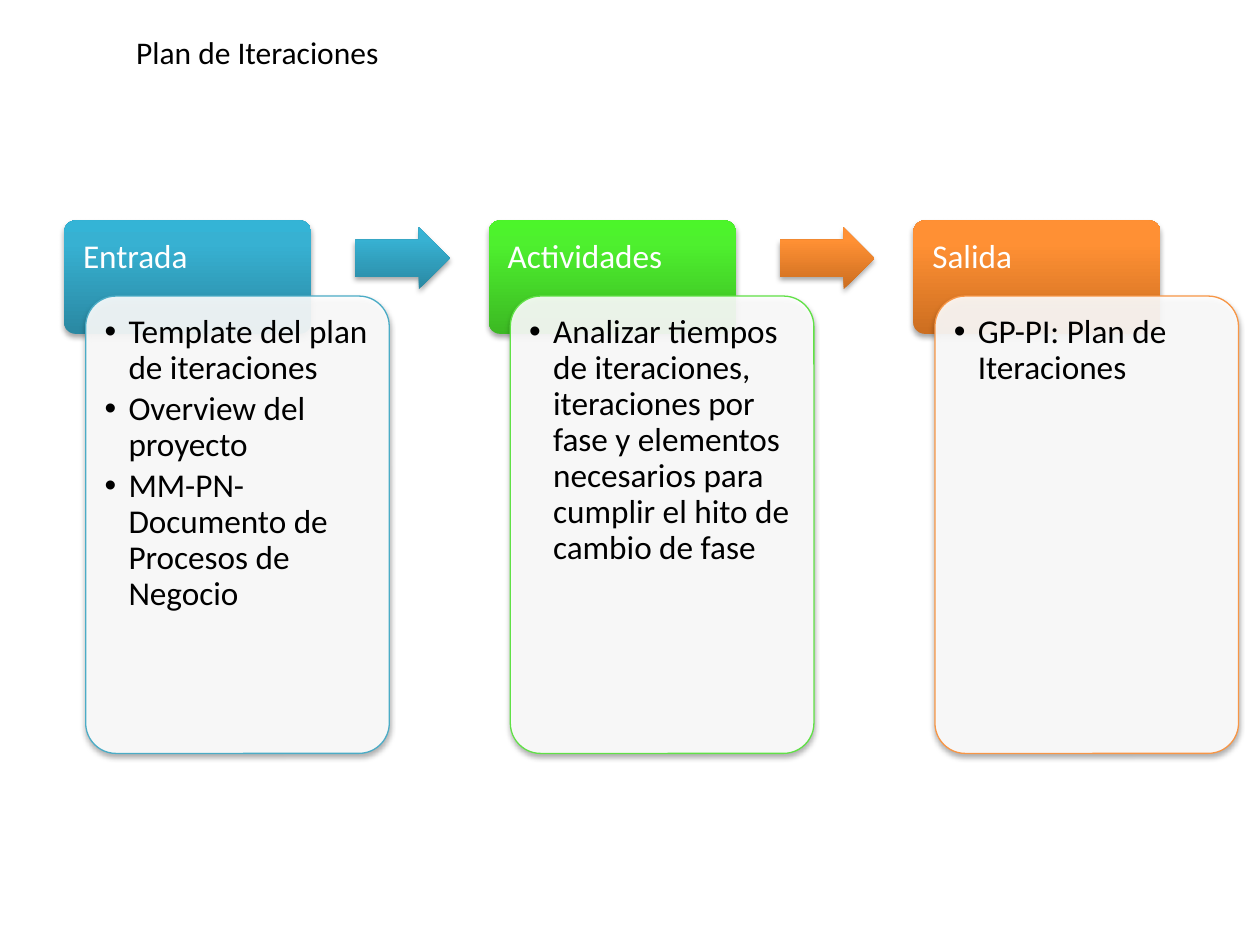
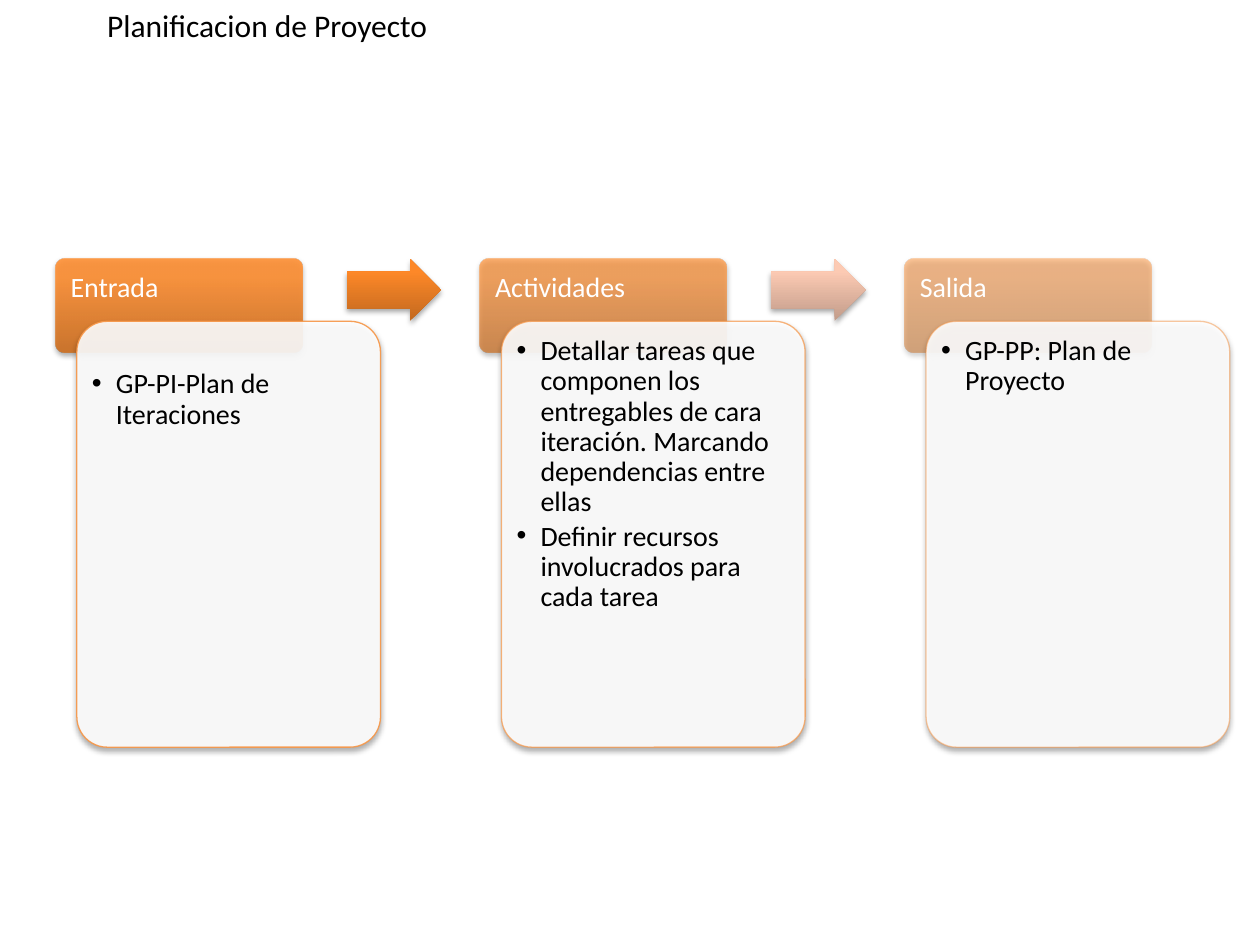
"""Build two process slides, each with three steps joined by arrows."""
from collections import namedtuple
from lxml.etree import SubElement as Sub
from pptx import Presentation
from pptx.dml.color import RGBColor as RGB
from pptx.enum.shapes import MSO_SHAPE as Kind
from pptx.enum.text import MSO_ANCHOR as Anchor, PP_ALIGN as Align
from pptx.oxml.ns import qn
from pptx.util import Inches, Pt

Theme = namedtuple("Theme", "font title ink white blue green orange deep pale rim")
theme = Theme(
    font="Calibri", title=18, ink="000000", white="FFFFFF",
    blue=("2A88A2", "37B1D2", "34B4D6"),
    green=("3CB923", "4EF02E", "4CF52A"),
    orange=("CC6E20", "FF9034", "FF9136"),
    deep=("C3691F", "FD8828", "FF8928"),
    pale=("C29C8A", "FCCAB3", "FECAB2"),
    rim=("4BACC6", "60E146", "F79646"),
)
Step = namedtuple("Step", "name items tones rim fade drop", defaults=(100, 0))
Page = namedtuple("Page", "title spot left top band tall pad size steps links")

STEP, HEAD, BODY, SHIFT = 3.37, 1.96, 2.41, 0.17
ARROW_X, ARROW_W, ARROW_H = 2.31, 0.75, 0.49
INDENT = 0.19

pages = [
    Page("Plan de Iteraciones", (0.98, 0.21, 5.2, 0.4),
         0.51, 1.75, 0.6, 3.63, 0.15, 19,
         [Step("Entrada", ["Template del plan de iteraciones", "Overview del proyecto",
                           "MM-PN-Documento de Procesos de Negocio"],
               theme.blue, theme.rim[0]),
          Step("Actividades", ["Analizar tiempos de iteraciones, iteraciones por fase y "
                               "elementos necesarios para cumplir el hito de cambio de fase"],
               theme.green, theme.rim[1]),
          Step("Salida", ["GP-PI: Plan de Iteraciones"], theme.orange, theme.rim[2])],
         [theme.blue, theme.orange]),
    Page("Planificacion de Proyecto", (0.75, 0, 4.8, 0.4),
         0.44, 2.05, 0.5, 3.38, 0.12, 16,
         [Step("Entrada", ["GP-PI-Plan de Iteraciones"],
               theme.orange, theme.rim[2], 90, 0.29),
          Step("Actividades", ["Detallar tareas que componen los entregables de cara "
                               "iteración. Marcando dependencias entre ellas",
                               "Definir recursos involucrados para cada tarea"],
               theme.orange, theme.rim[2], 70),
          Step("Salida", ["GP-PP: Plan de Proyecto"], theme.orange, theme.rim[2], 50)],
         [theme.deep, theme.pale]),
]


def draw(slide, kind, box, adjust, tones, fade=100, rim=None, blur=100):
    """Add a shape with a solid or three-stop fill, a rim and a soft shadow."""
    shape = slide.shapes.add_shape(kind, *map(Inches, box))
    for i, value in enumerate(adjust):
        shape.adjustments[i] = value
    props = shape._element.spPr
    if len(tones) == 1:
        shape.fill.solid()
        shape.fill.fore_color.rgb = RGB.from_string(tones[0])
    else:
        shape.fill.gradient()
        shape.fill.gradient_angle = 90
        stops = next(props.iter(qn("a:gsLst")))
        for old in list(stops):
            stops.remove(old)
        for place, tone in zip((0, 80, 100), tones):
            stop = Sub(stops, qn("a:gs"), pos=str(place * 1000))
            Sub(stop, qn("a:srgbClr"), val=tone)
    for hue in list(props.iter(qn("a:srgbClr"))):
        Sub(hue, qn("a:alpha"), val=str(fade * 1000))
    if rim:
        shape.line.color.rgb = RGB.from_string(rim)
        shape.line.width = Pt(0.75)
        hue = next(props.find(qn("a:ln")).iter(qn("a:srgbClr")))
        Sub(hue, qn("a:alpha"), val=str(blur * 1000))
    else:
        shape.line.fill.background()
    shape.shadow.inherit = False
    shade = Sub(props.find(qn("a:effectLst")), qn("a:outerShdw"), blurRad=str(Pt(3.1)),
                dist=str(Pt(1.8)), dir="5400000", rotWithShape="0")
    Sub(Sub(shade, qn("a:srgbClr"), val=theme.ink), qn("a:alpha"), val="35000")


def write(slide, box, pads, lines, size, ink, after, bullet=False):
    """Add a text box with one paragraph for each line."""
    frame = slide.shapes.add_textbox(*map(Inches, box)).text_frame
    frame.word_wrap = True
    frame.margin_left, frame.margin_top, frame.margin_right, frame.margin_bottom = map(Inches, pads)
    for i, line in enumerate(lines):
        para = frame.add_paragraph() if i else frame.paragraphs[0]
        if bullet:
            props = para._p.get_or_add_pPr()
            props.set("marL", str(Inches(INDENT)))
            props.set("indent", str(-Inches(INDENT)))
            Sub(props, qn("a:buFont"), typeface="Arial")
            Sub(props, qn("a:buChar"), char="•")
        para.line_spacing = 0.9
        para.space_after = Pt(size * after)
        run = para.add_run()
        run.text = line
        run.font.name, run.font.size = theme.font, Pt(size)
        run.font.color.rgb = RGB.from_string(ink)


deck = Presentation()
deck.slide_width, deck.slide_height = Inches(10), Inches(7.5)

for page in pages:
    slide = deck.slides.add_slide(deck.slide_layouts[5])
    title = slide.shapes.title
    title.left, title.top, title.width, title.height = map(Inches, page.spot)
    title.text_frame.vertical_anchor = Anchor.TOP
    title.text_frame.word_wrap = True
    para = title.text_frame.paragraphs[0]
    para.alignment = Align.LEFT
    run = para.add_run()
    run.text = page.title
    run.font.name, run.font.size = theme.font, Pt(theme.title)
    run.font.color.rgb = RGB.from_string(theme.ink)

    pad, size, band = page.pad, page.size, page.band
    for i, step in enumerate(page.steps):
        left = page.left + i * STEP
        draw(slide, Kind.ROUNDED_RECTANGLE, (left, page.top, HEAD, band * 1.5),
             [0.1], step.tones, step.fade)
        write(slide, (left, page.top, HEAD, band), (pad, pad, pad, pad / 2),
              [step.name], size, theme.white, 0.35)
        body = (left + SHIFT, page.top + band, BODY, page.tall)
        draw(slide, Kind.ROUNDED_RECTANGLE, body, [0.1], [theme.white], 90,
             step.rim, step.fade)
        write(slide, body, (pad, pad + step.drop, pad, pad),
              step.items, size, theme.ink, 0.15, True)
        if i < len(page.links):
            draw(slide, Kind.RIGHT_ARROW,
                 (left + ARROW_X, page.top + (band - ARROW_H) / 2, ARROW_W, ARROW_H),
                 [0.6, 0.5], page.links[i])

deck.save("out.pptx")
